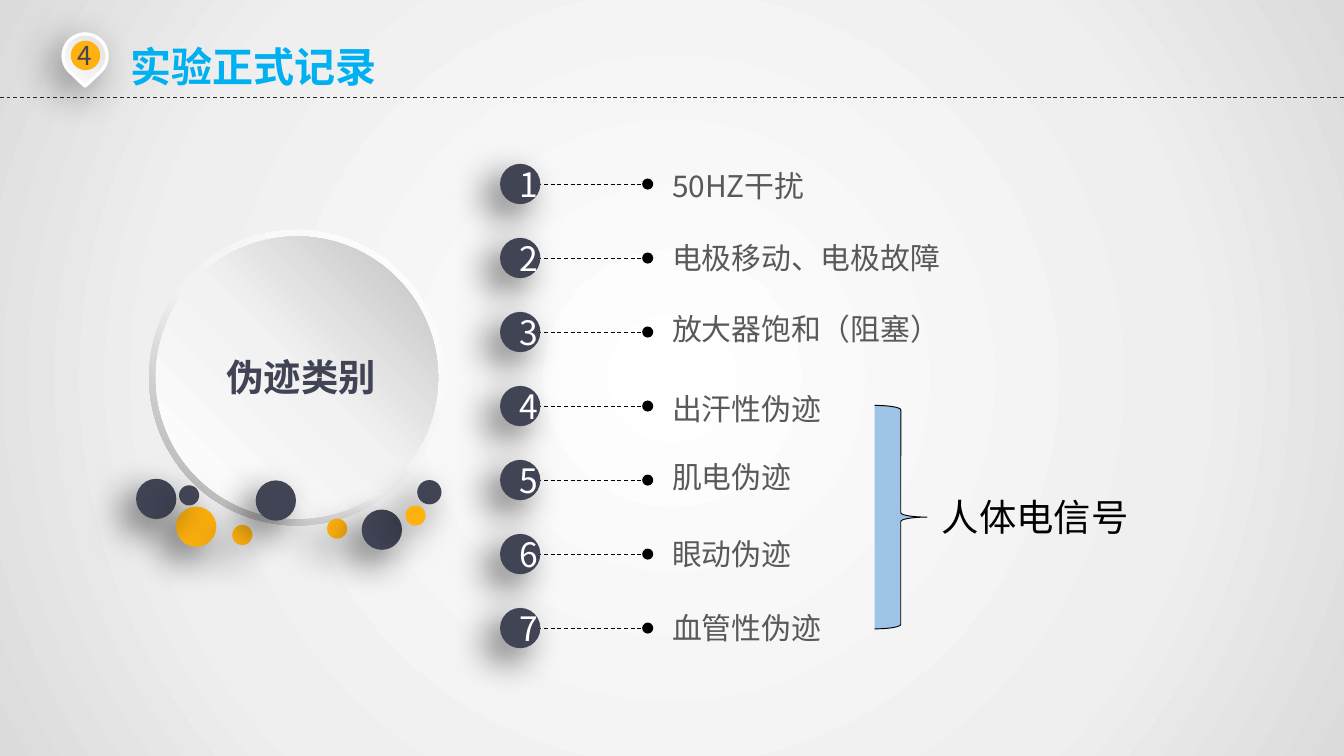
"""Build the slide on artifact categories in the formal experiment recording."""
from dataclasses import dataclass
from math import cos, radians, sin

from lxml.etree import SubElement
from pptx import Presentation
from pptx.dml.color import RGBColor
from pptx.enum.dml import MSO_LINE
from pptx.enum.shapes import MSO_CONNECTOR, MSO_SHAPE
from pptx.enum.text import MSO_ANCHOR, MSO_AUTO_SIZE, PP_ALIGN
from pptx.oxml.ns import qn
from pptx.util import Pt


@dataclass(frozen=True)
class Theme:
    font: str = "Noto Sans CJK SC"
    navy: str = "414455"
    amber: str = "FEB10F"
    sky: str = "00B0F0"
    grey: str = "595959"
    brace: str = "9DC3E6"
    rule: str = "2D2A19"
    black: str = "000000"
    white: str = "FFFFFF"
    title_size: int = 22
    heading_size: int = 20
    number_size: int = 18
    label_size: int = 16
    badge_size: int = 14


theme = Theme()


def write(shape, text, size, color, align=PP_ALIGN.LEFT, bold=False, inset=None, wrap=True):
    frame = shape.text_frame
    frame.word_wrap = wrap
    if inset is not None:
        frame.margin_left = frame.margin_right = Pt(inset)
        frame.margin_top = frame.margin_bottom = Pt(inset)
    paragraph = frame.paragraphs[0]
    paragraph.text = text
    paragraph.alignment = align
    font = paragraph.font
    font.name = theme.font
    font.size = Pt(size)
    font.bold = bold
    font.color.rgb = RGBColor.from_string(color)
    SubElement(shape.element.find(".//" + qn("a:defRPr")), qn("a:ea"), typeface=theme.font)
    return paragraph


def blend(fill, owner, stops, angle=None):
    fill.gradient()
    gradient = owner.find(".//" + qn("a:gradFill"))
    for child in list(gradient):
        gradient.remove(child)
    stop_list = SubElement(gradient, qn("a:gsLst"))
    for position, color in stops:
        stop = SubElement(stop_list, qn("a:gs"), pos=str(position * 1000))
        SubElement(stop, qn("a:srgbClr"), val=color)
    if angle is None:
        focus = SubElement(gradient, qn("a:path"), path="circle")
        SubElement(focus, qn("a:fillToRect"), l="50000", t="50000", r="50000", b="50000")
    else:
        SubElement(gradient, qn("a:lin"), ang=str(angle * 60000), scaled="0")


presentation = Presentation()
presentation.slide_width, presentation.slide_height = Pt(720), Pt(405)
slide = presentation.slides.add_slide(presentation.slide_layouts[5])
shapes = slide.shapes
blend(slide.background.fill, slide.element, [(0, "FFFFFF"), (67, "EFEFEF"), (100, "DBDBDB")])

title = shapes.title
title.left, title.top, title.width, title.height = Pt(62.6), Pt(18.7), Pt(147.6), Pt(33.8)
title.text_frame.auto_size = MSO_AUTO_SIZE.NONE
title.text_frame.vertical_anchor = MSO_ANCHOR.MIDDLE
write(title, "实验正式记录", theme.title_size, theme.sky, bold=True, wrap=False)

categories = [
    ("50HZ干扰", 95.8),
    ("电极移动、电极故障", 134.6),
    ("放大器饱和（阻塞）", 172.8),
    ("出汗性伪迹", 215.3),
    ("肌电伪迹", 252),
    ("眼动伪迹", 293),
    ("血管性伪迹", 332.6),
]
first_row, row_pitch = 98.6, 39.65
row_centres = [first_row + row_pitch * row for row in range(len(categories))]

dashes = [(0, 720, 52.3, theme.rule, "none")]
dashes += [(284.4, 347, centre, theme.black, "oval") for centre in row_centres]
for start, end, height, color, tail in dashes:
    dash = shapes.add_connector(MSO_CONNECTOR.STRAIGHT, Pt(start), Pt(height), Pt(end), Pt(height))
    dash.line.color.rgb = RGBColor.from_string(color)
    dash.line.width = Pt(0.5)
    dash.line.dash_style = MSO_LINE.DASH
    SubElement(dash.element.find(".//" + qn("a:ln")), qn("a:tailEnd"), type=tail)
    SubElement(dash.element.find(qn("p:spPr")), qn("a:effectLst"))

rim = shapes.add_shape(MSO_SHAPE.DONUT, Pt(79.9), Pt(123.1), Pt(158.4), Pt(158.4))
rim.adjustments[0] = 0.05
blend(rim.fill, rim.element, [(0, "FFFFFF"), (55, "F2F2F2"), (100, "A6A6A6")], 135)
disc = shapes.add_shape(MSO_SHAPE.OVAL, Pt(83.5), Pt(126.7), Pt(151.2), Pt(151.2))
blend(disc.fill, disc.element, [(0, "FFFFFF"), (51, "F2F2F2"), (100, "BFBFBF")], 315)
for plate in (rim, disc):
    plate.line.fill.background()
    plate.shadow.inherit = False

for (label, top), centre in zip(categories, row_centres):
    category = shapes.add_textbox(Pt(360), Pt(top), Pt(272.2), Pt(13))
    paragraph = write(category, label, theme.label_size, theme.grey, PP_ALIGN.JUSTIFY, inset=0)
    paragraph.line_spacing = Pt(13)

large, medium, small = 21.6, 13, 10.8
balls = [
    (94.3, 271.4, large, theme.amber, ""),
    (124.4, 281.2, small, theme.amber, ""),
    (137, 257.4, large, theme.navy, ""),
    (175.2, 277.8, small, theme.amber, ""),
    (72.9, 256.5, large, theme.navy, ""),
    (95.9, 260, small, theme.navy, ""),
    (193.8, 273, large, theme.navy, ""),
    (223.5, 257.2, medium, theme.navy, ""),
    (217.2, 270.8, small, theme.amber, ""),
]
balls += [
    (267.9, centre - large / 2, large, theme.navy, str(number))
    for number, centre in enumerate(row_centres, 1)
]
shadowed = []
for left, top, size, color, number in balls:
    ball = shapes.add_shape(MSO_SHAPE.OVAL, Pt(left), Pt(top), Pt(size), Pt(size))
    ball.fill.solid()
    ball.fill.fore_color.rgb = RGBColor.from_string(color)
    ball.line.fill.background()
    shadowed.append((ball, 60, 20, 10))
    if number:
        write(ball, number, theme.number_size, theme.white, PP_ALIGN.CENTER)

heading = shapes.add_textbox(Pt(100.8), Pt(190), Pt(121), Pt(24.5))
write(heading, "伪迹类别", theme.heading_size, theme.navy, PP_ALIGN.CENTER, bold=True, inset=0)

pin_x, pin_y, pin_radius = 45.6, 30, 11.8
arc = [
    (Pt(pin_x + pin_radius * cos(radians(angle))), Pt(pin_y + pin_radius * sin(radians(angle))))
    for angle in range(135, 406, 6)
]
outline = shapes.build_freeform(Pt(pin_x), Pt(46.2))
outline.add_line_segments(arc, close=True)
pin = outline.convert_to_shape()
blend(pin.fill, pin.element, [(0, "E0E0E0"), (100, "FFFFFF")], 135)
pin.line.color.rgb = RGBColor.from_string(theme.white)
pin.line.width = Pt(1.75)
shadowed.append((pin, 40, 22, 8))

for caster, opacity, blur, distance in shadowed:
    caster.shadow.inherit = False
    shadow = SubElement(
        caster.element.find(".//" + qn("a:effectLst")), qn("a:outerShdw"),
        blurRad=str(Pt(blur)), dist=str(Pt(distance)), dir="8100000", algn="tr", rotWithShape="0",
    )
    shade = SubElement(shadow, qn("a:srgbClr"), val=theme.black)
    SubElement(shade, qn("a:alpha"), val=str(opacity * 1000))

pin_dot = shapes.add_shape(MSO_SHAPE.OVAL, Pt(37.9), Pt(21.8), Pt(15.8), Pt(15.8))
brace = shapes.add_shape(MSO_SHAPE.RIGHT_BRACE, Pt(468.5), Pt(217.2), Pt(28.1), Pt(119.7))
for accent, color in ((pin_dot, theme.amber), (brace, theme.brace)):
    accent.fill.solid()
    accent.fill.fore_color.rgb = RGBColor.from_string(color)
    accent.shadow.inherit = False
pin_dot.line.fill.background()
brace.line.color.rgb = RGBColor.from_string(theme.black)
brace.line.width = Pt(0.5)

section_number = shapes.add_textbox(Pt(34.4), Pt(17.8), Pt(22.7), Pt(24.5))
write(section_number, "4", theme.badge_size, theme.navy, wrap=False)
signal = shapes.add_textbox(Pt(497), Pt(261.4), Pt(115.2), Pt(31.7))
write(signal, "人体电信号", theme.heading_size, theme.black, PP_ALIGN.CENTER, wrap=False)

presentation.save("out.pptx")
